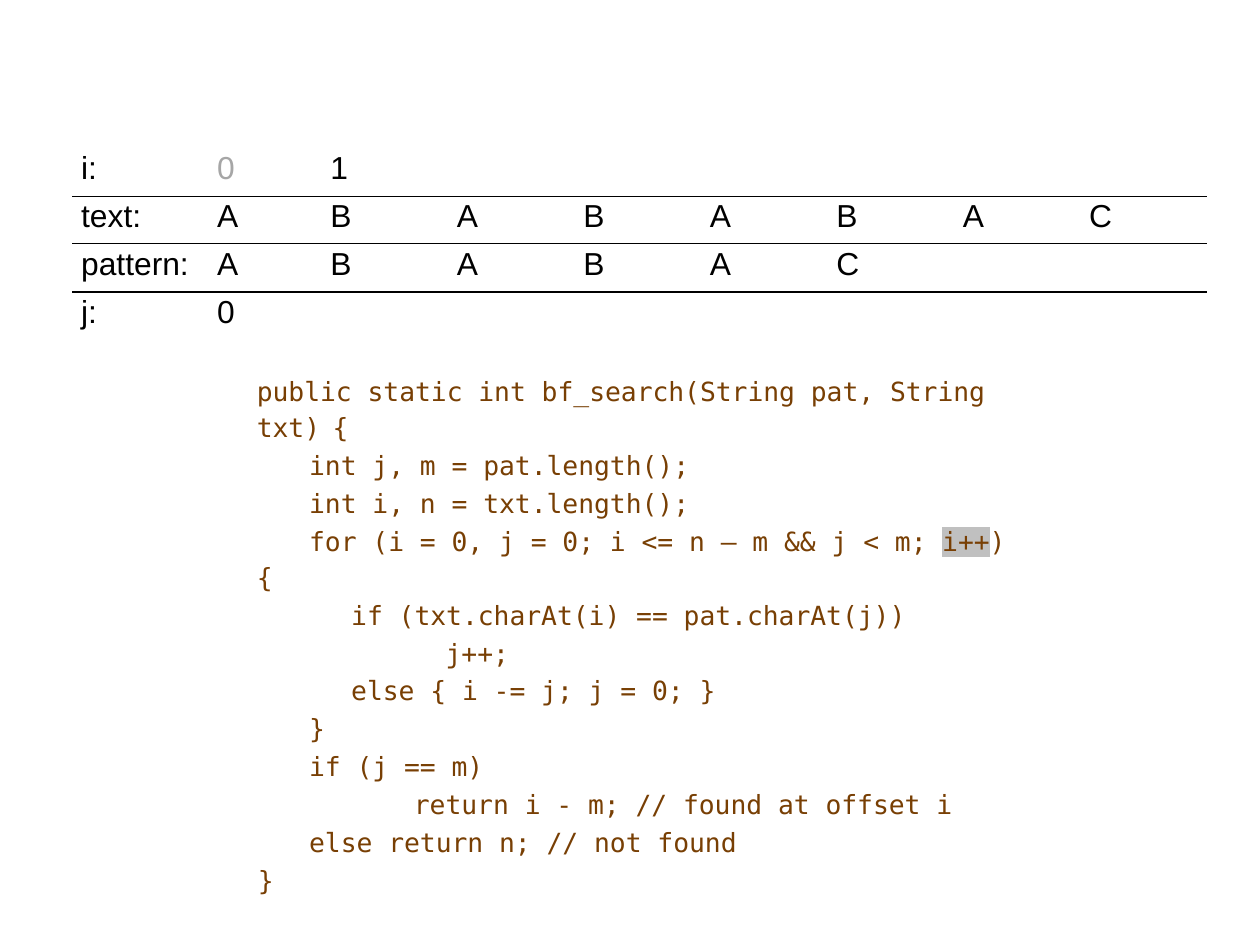
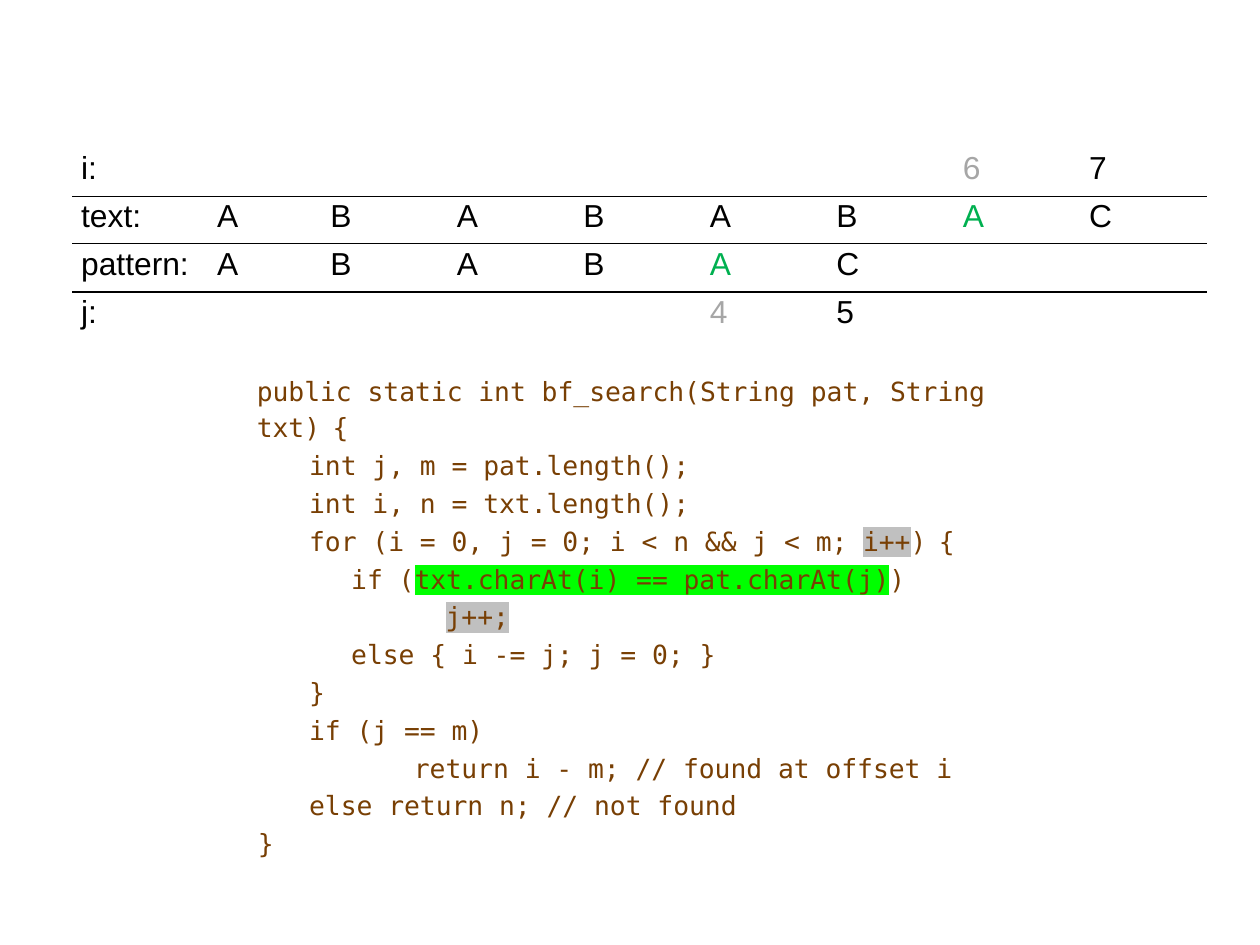
from dataclasses import dataclass

from lxml import etree
from pptx import Presentation
from pptx.dml.color import RGBColor
from pptx.enum.text import MSO_ANCHOR
from pptx.oxml.ns import qn
from pptx.util import Pt

MIDDLE = MSO_ANCHOR.MIDDLE
BLANK_LAYOUT = 6

BLACK, BROWN, GREEN = "000000", "783F04", "00B050"
PAST = "A6A6A6"
STEP_MARK, MATCH_MARK = "C0C0C0", "00FF00"

CODE_FONT, CODE_SIZE, NARROW_SIZE = "DejaVu Sans Mono", 16.6, 13.2
TRACE_FONT, TRACE_SIZE = "Arial", 20
INDENT, LOOP_INDENT, BRANCH_INDENT = 33, 59.5, 119
COLUMN_WIDTHS = [85.7, 71.3] + [79.7] * 7
ROW_HEIGHT = 29.9
I_ROW, TEXT_ROW, PATTERN_ROW, J_ROW = range(4)
TRACE_ROWS = (("i:", ""), ("text:", "ABABABAC"), ("pattern:", "ABABAC"), ("j:", ""))


@dataclass(frozen=True)
class Span:
    text: str
    highlight: str = ""
    size: float = CODE_SIZE


@dataclass(frozen=True)
class CodeLine:
    spans: tuple[Span, ...]
    first: float = INDENT
    left: float = 0
    before: float = 0.9


@dataclass(frozen=True)
class TraceMark:
    """A coloured value above, below or in the letters at a position."""
    row: int
    position: int
    text: str
    colour: str = BLACK


@dataclass(frozen=True)
class SearchStep:
    marks: tuple[TraceMark, ...]
    loop: tuple[Span, ...]
    comparison: tuple[Span, ...]
    advance: Span


NARROW_SPACE = Span(" ", size=NARROW_SIZE)
INCREMENT = (Span("i++", STEP_MARK), Span(")"), NARROW_SPACE, Span("{"))

STEPS = (
    SearchStep(
        marks=(
            TraceMark(I_ROW, 0, "0", PAST),
            TraceMark(I_ROW, 1, "1"),
            TraceMark(J_ROW, 0, "0"),
        ),
        loop=(Span("for (i = 0, j = 0; i <= n – m && j < m; "), *INCREMENT),
        comparison=(Span("if (txt.charAt(i) == pat.charAt(j))"),),
        advance=Span("j++;"),
    ),
    SearchStep(
        marks=(
            TraceMark(I_ROW, 6, "6", PAST),
            TraceMark(I_ROW, 7, "7"),
            TraceMark(TEXT_ROW, 6, "A", GREEN),
            TraceMark(PATTERN_ROW, 4, "A", GREEN),
            TraceMark(J_ROW, 4, "4", PAST),
            TraceMark(J_ROW, 5, "5"),
        ),
        loop=(Span("for (i = 0, j = 0; i < n && j < m; "), *INCREMENT),
        comparison=(
            Span("if ("),
            Span("txt.charAt(i) == pat.charAt(j)", MATCH_MARK),
            Span(")"),
        ),
        advance=Span("j++;", STEP_MARK),
    ),
)


def rgb(colour: str) -> RGBColor:
    return RGBColor.from_string(colour)


def set_font(font, name: str, size: float, colour: str) -> None:
    font.name = name
    font.size = Pt(size)
    font.color.rgb = rgb(colour)


def add_highlight(run, colour: str) -> None:
    highlight = etree.SubElement(run._r.get_or_add_rPr(), qn("a:highlight"))
    etree.SubElement(highlight, qn("a:srgbClr"), val=colour)


def code_lines(step: SearchStep) -> list[CodeLine]:
    signature = "public static int bf_search(String pat, String txt)"
    return [
        CodeLine((Span(signature), NARROW_SPACE, Span("{")), first=0, before=0),
        CodeLine((Span("int j, m = pat.length();"),)),
        CodeLine((Span("int i, n = txt.length();"),)),
        CodeLine(step.loop),
        CodeLine(step.comparison, first=LOOP_INDENT),
        CodeLine((step.advance,), first=BRANCH_INDENT),
        CodeLine((Span("else { i -= j; j = 0; }"),), first=LOOP_INDENT),
        CodeLine((Span("}"),)),
        CodeLine((Span("if (j == m)"),)),
        CodeLine((Span("return i - m; // found at offset i"),), left=2 * INDENT),
        CodeLine((Span("else return n; // not found"),)),
        CodeLine((Span("}"),), first=0.7),
    ]


def write_code_line(paragraph, line: CodeLine) -> None:
    paragraph.line_spacing = 1.15
    paragraph.space_before = Pt(line.before)
    properties = paragraph._p.get_or_add_pPr()
    properties.set("marL", str(Pt(line.left)))
    properties.set("indent", str(Pt(line.first)))
    set_font(paragraph.font, CODE_FONT, CODE_SIZE, BROWN)
    for span in line.spans:
        run = paragraph.add_run()
        run.text = span.text
        if span.size != CODE_SIZE:
            run.font.size = Pt(span.size)
        if span.highlight:
            add_highlight(run, span.highlight)


def add_code(slide, step: SearchStep) -> None:
    frame = slide.shapes.add_textbox(Pt(155.3), Pt(226.8), Pt(494.7), Pt(294.5)).text_frame
    frame.word_wrap = True
    frame.margin_left = frame.margin_right = Pt(6.5)
    frame.margin_top = frame.margin_bottom = Pt(6.5)
    for number, line in enumerate(code_lines(step)):
        paragraph = frame.add_paragraph() if number else frame.paragraphs[0]
        write_code_line(paragraph, line)


def set_rules(cell, row: int) -> None:
    """Rule the inner horizontal edges only."""
    ruled = {"lnL": False, "lnR": False, "lnT": row > I_ROW, "lnB": row < J_ROW}
    properties = cell._tc.get_or_add_tcPr()
    for edge, visible in ruled.items():
        border = etree.SubElement(properties, qn(f"a:{edge}"), w=str(Pt(1)))
        if visible:
            fill = etree.SubElement(border, qn("a:solidFill"))
            etree.SubElement(fill, qn("a:srgbClr"), val=BLACK)
        else:
            etree.SubElement(border, qn("a:noFill"))


def add_trace(slide, marks: tuple[TraceMark, ...]) -> None:
    table = slide.shapes.add_table(
        len(TRACE_ROWS), len(COLUMN_WIDTHS), Pt(45.4), Pt(93.3),
        Pt(sum(COLUMN_WIDTHS)), Pt(ROW_HEIGHT * len(TRACE_ROWS)),
    ).table
    table.first_row = table.horz_banding = False
    for column, width in zip(table.columns, COLUMN_WIDTHS):
        column.width = Pt(width)
    marked = {(mark.row, mark.position + 1): mark for mark in marks}
    for row, (label, letters) in enumerate(TRACE_ROWS):
        table.rows[row].height = Pt(ROW_HEIGHT)
        values = [label, *letters.ljust(len(COLUMN_WIDTHS) - 1)]
        for column, value in enumerate(values):
            mark = marked.get((row, column))
            cell = table.cell(row, column)
            set_rules(cell, row)
            cell.fill.background()
            cell.vertical_anchor = MIDDLE
            cell.margin_left = cell.margin_right = Pt(5.7)
            cell.margin_top = cell.margin_bottom = Pt(3.2)
            paragraph = cell.text_frame.paragraphs[0]
            paragraph.line_spacing = 0.69
            colour = mark.colour if mark else BLACK
            set_font(paragraph.font, TRACE_FONT, TRACE_SIZE, colour)
            text = mark.text if mark else value.strip()
            if text:
                paragraph.add_run().text = text


def main() -> None:
    deck = Presentation()
    deck.slide_width, deck.slide_height = Pt(793.75), Pt(595.25)
    for step in STEPS:
        slide = deck.slides.add_slide(deck.slide_layouts[BLANK_LAYOUT])
        add_code(slide, step)
        add_trace(slide, step.marks)
    deck.save("out.pptx")


if __name__ == "__main__":
    main()
